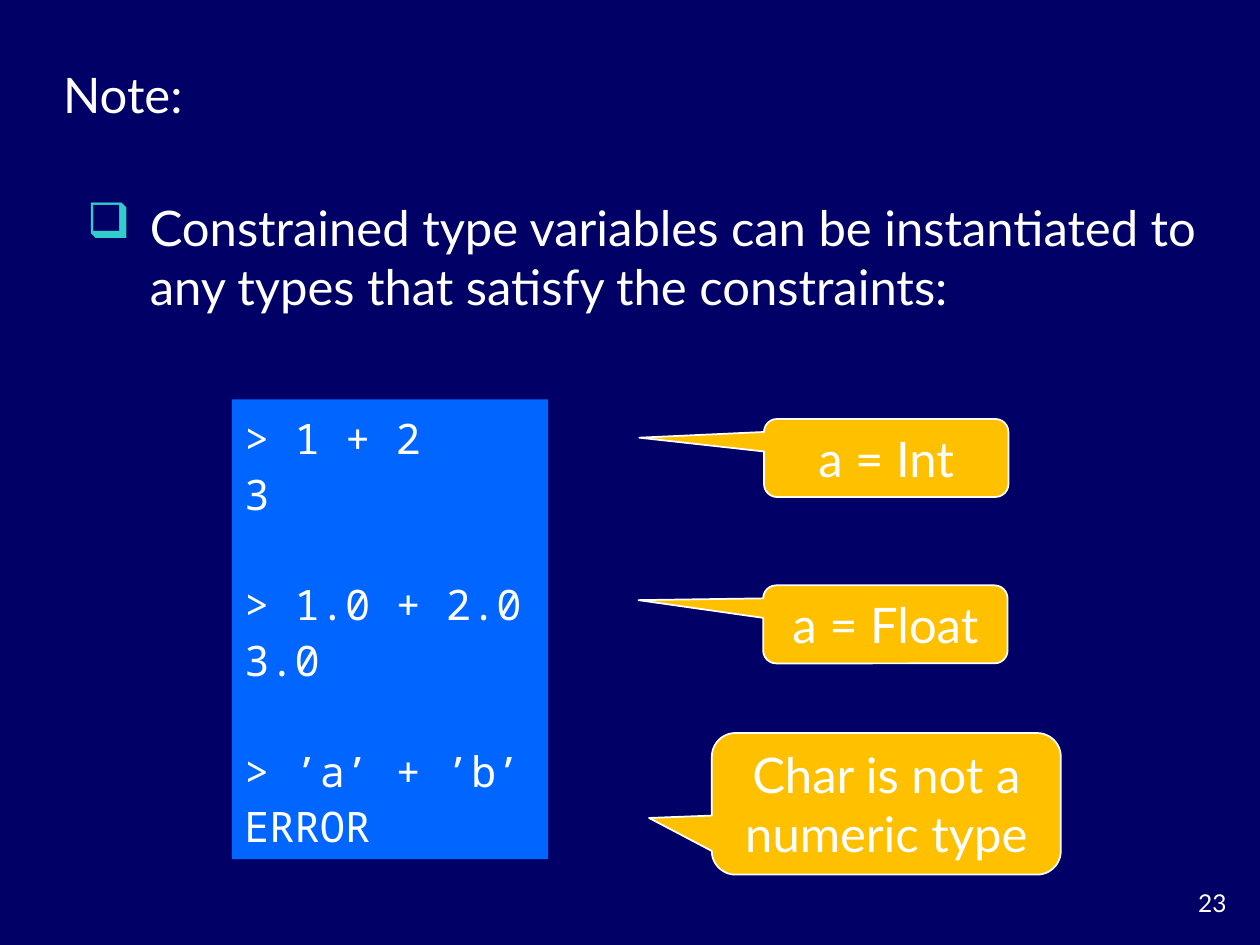
from dataclasses import dataclass

from lxml.etree import SubElement
from pptx import Presentation
from pptx.dml.color import RGBColor
from pptx.enum.shapes import MSO_SHAPE as Shape
from pptx.enum.text import MSO_ANCHOR as Anchor, PP_ALIGN as Align
from pptx.oxml.ns import qn
from pptx.util import Pt


@dataclass(frozen=True)
class Theme:
    background: str = "000066"
    text: str = "FFFFFF"
    bullet: str = "33CCCC"
    session: str = "0066FF"
    callout: str = "FFC000"
    body_font: str = "Lato"
    code_font: str = "Noto Sans Mono"
    body_size: float = 28
    code_size: float = 24
    number_size: float = 14


@dataclass(frozen=True)
class Box:
    left: float
    top: float
    width: float
    height: float

    def lengths(self) -> tuple:
        return Pt(self.left), Pt(self.top), Pt(self.width), Pt(self.height)


@dataclass(frozen=True)
class Callout:
    message: str
    box: Box
    tip_x: float
    tip_y: float


THEME = Theme()
CODE_LINE_SPACING = 1.1
CODE_GAP = 31.7
SESSION = [("> 1 + 2", "3"), ("> 1.0 + 2.0", "3.0"), ("> ’a’ + ’b’", "ERROR")]
CALLOUTS = [
    Callout("Char is not a numeric type", Box(406.8, 418.9, 199.4, 80.9), -0.68, 0.1),
    Callout("a = Int", Box(436.6, 239.4, 139.7, 44.6), -1.01, -0.26),
    Callout("a = Float", Box(436.1, 334.5, 139.7, 44.6), -1.01, -0.31),
]


def rgb(value: str) -> RGBColor:
    return RGBColor.from_string(value)


def write(paragraph, text: str, *, font: str = THEME.body_font, size: float = THEME.body_size,
          align=Align.LEFT, spacing: float = 1.0, before: float = 0) -> None:
    paragraph.alignment = align
    paragraph.line_spacing = spacing
    paragraph.space_before = Pt(before)
    run = paragraph.add_run()
    run.text = text
    run.font.name = font
    run.font.size = Pt(size)
    run.font.color.rgb = rgb(THEME.text)


def add_label(slide, box: Box, text: str, *, wrap: bool = True, anchor=Anchor.TOP, **text_format):
    frame = slide.shapes.add_textbox(*box.lengths()).text_frame
    frame.word_wrap = wrap
    frame.vertical_anchor = anchor
    write(frame.paragraphs[0], text, **text_format)
    return frame.paragraphs[0]


def add_bullet(paragraph, symbol: str, indent: float) -> None:
    properties = paragraph._p.get_or_add_pPr()
    properties.set("marL", str(Pt(indent)))
    properties.set("indent", str(-Pt(indent)))
    color = SubElement(properties, qn("a:buClr"))
    SubElement(color, qn("a:srgbClr"), val=THEME.bullet)
    SubElement(properties, qn("a:buChar"), char=symbol)


def add_panel(slide, kind, box: Box, fill: str):
    panel = slide.shapes.add_shape(kind, *box.lengths())
    panel.shadow.inherit = False
    panel.fill.solid()
    panel.fill.fore_color.rgb = rgb(fill)
    panel.text_frame.word_wrap = True
    panel.text_frame.vertical_anchor = Anchor.MIDDLE
    return panel


def add_session(slide, box: Box) -> None:
    panel = add_panel(slide, Shape.RECTANGLE, box, THEME.session)
    panel.line.fill.background()
    frame = panel.text_frame
    code = dict(font=THEME.code_font, size=THEME.code_size, spacing=CODE_LINE_SPACING)
    for index, (expression, result) in enumerate(SESSION):
        prompt = frame.add_paragraph() if index else frame.paragraphs[0]
        write(prompt, expression, before=CODE_GAP if index else 0, **code)
        write(frame.add_paragraph(), result, **code)


def add_callout(slide, callout: Callout) -> None:
    bubble = add_panel(slide, Shape.ROUNDED_RECTANGULAR_CALLOUT, callout.box, THEME.callout)
    bubble.line.color.rgb = rgb(THEME.text)
    bubble.line.width = Pt(1)
    bubble.adjustments[0] = callout.tip_x
    bubble.adjustments[1] = callout.tip_y
    write(bubble.text_frame.paragraphs[0], callout.message, align=Align.CENTER)


def main() -> None:
    deck = Presentation()
    deck.slide_width, deck.slide_height = Pt(720), Pt(540)
    slide = deck.slides.add_slide(deck.slide_layouts[6])
    slide.background.fill.solid()
    slide.background.fill.fore_color.rgb = rgb(THEME.background)

    add_label(slide, Box(660, 504, 48, 24), "23", size=THEME.number_size, align=Align.RIGHT)
    statement = add_label(
        slide, Box(42.5, 109.4, 648.7, 85),
        "Constrained type variables can be instantiated to any types that satisfy the constraints:")
    add_bullet(statement, "❑", 36)
    add_label(slide, Box(29, 33.1, 82.8, 41), "Note:", wrap=False, anchor=Anchor.MIDDLE)
    add_session(slide, Box(132.5, 228.2, 180.7, 262.8))
    for callout in CALLOUTS:
        add_callout(slide, callout)
    deck.save("out.pptx")


if __name__ == "__main__":
    main()
